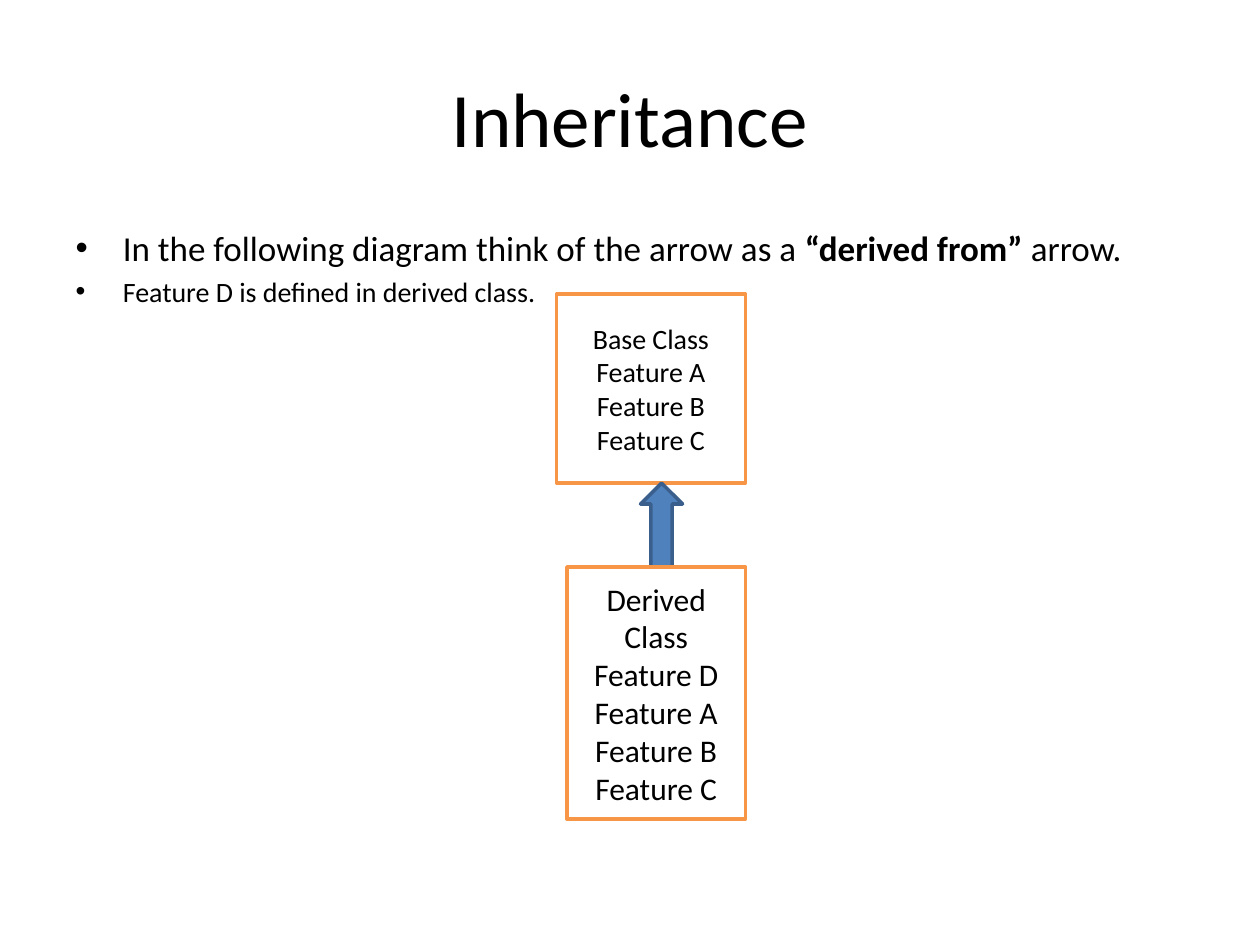
import pptx
import pptx.util
from dataclasses import dataclass
from pptx.dml.color import RGBColor
from pptx.enum.shapes import MSO_SHAPE
from pptx.enum.text import MSO_ANCHOR, PP_ALIGN

Pt = pptx.util.Pt
BLACK = RGBColor(0x00, 0x00, 0x00)
WHITE = RGBColor(0xFF, 0xFF, 0xFF)
ORANGE = RGBColor(0xF7, 0x96, 0x46)
BLUE = RGBColor(0x4F, 0x81, 0xBD)
NAVY = RGBColor(0x3A, 0x5F, 0x8C)


@dataclass
class Node:
    kind: MSO_SHAPE
    left: float
    top: float
    width: float
    height: float
    fill: RGBColor
    line: RGBColor
    lines: tuple[str, ...] = ()
    size: float = 16


SHARED = ("Feature A", "Feature B", "Feature C")
NODES = [
    Node(MSO_SHAPE.RECTANGLE, 318, 168, 108, 108, WHITE, ORANGE,
         ("Base Class", *SHARED)),
    Node(MSO_SHAPE.UP_ARROW, 366, 276, 24, 48, BLUE, NAVY),
    Node(MSO_SHAPE.RECTANGLE, 324, 324, 102, 144, WHITE, ORANGE,
         ("Derived Class", "Feature D", *SHARED), 18),
]
# Each bullet: font size and its (text, bold) runs
BULLETS = [
    (20, [("In the following diagram think of the arrow as a ", False),
          ("“derived from” ", True), ("arrow.", False)]),
    (16, [("Feature D is defined in derived class.", False)]),
]


def place(shape, left: float, top: float, width: float, height: float) -> None:
    shape.left, shape.top = Pt(left), Pt(top)
    shape.width, shape.height = Pt(width), Pt(height)


def style(para, size: float) -> None:
    para.font.name = "Calibri"
    para.font.size = Pt(size)
    para.font.color.rgb = BLACK


def draw(slide, node: Node) -> None:
    shape = slide.shapes.add_shape(
        node.kind, Pt(node.left), Pt(node.top), Pt(node.width), Pt(node.height))
    shape.shadow.inherit = False
    shape.fill.solid()
    shape.fill.fore_color.rgb = node.fill
    shape.line.color.rgb = node.line
    shape.line.width = Pt(2)
    if not node.lines:
        return
    frame = shape.text_frame
    frame.text = "\n".join(node.lines)
    frame.word_wrap = True
    frame.vertical_anchor = MSO_ANCHOR.MIDDLE
    for para in frame.paragraphs:
        para.alignment = PP_ALIGN.CENTER
        style(para, node.size)


def main() -> None:
    deck = pptx.Presentation()
    deck.slide_width, deck.slide_height = Pt(720), Pt(540)
    slide = deck.slides.add_slide(deck.slide_layouts[1])

    title = slide.shapes.title
    place(title, 36, 21.6, 648, 90)
    title.text_frame.text = "Inheritance"
    style(title.text_frame.paragraphs[0], 44)

    body = slide.placeholders[1]
    place(body, 36, 126, 648, 356.4)
    frame = body.text_frame
    for i, (size, runs) in enumerate(BULLETS):
        para = frame.add_paragraph() if i else frame.paragraphs[0]
        style(para, size)
        for text, bold in runs:
            run = para.add_run()
            run.text = text
            run.font.bold = bold

    for node in NODES:
        draw(slide, node)
    deck.save("out.pptx")


if __name__ == "__main__":
    main()
